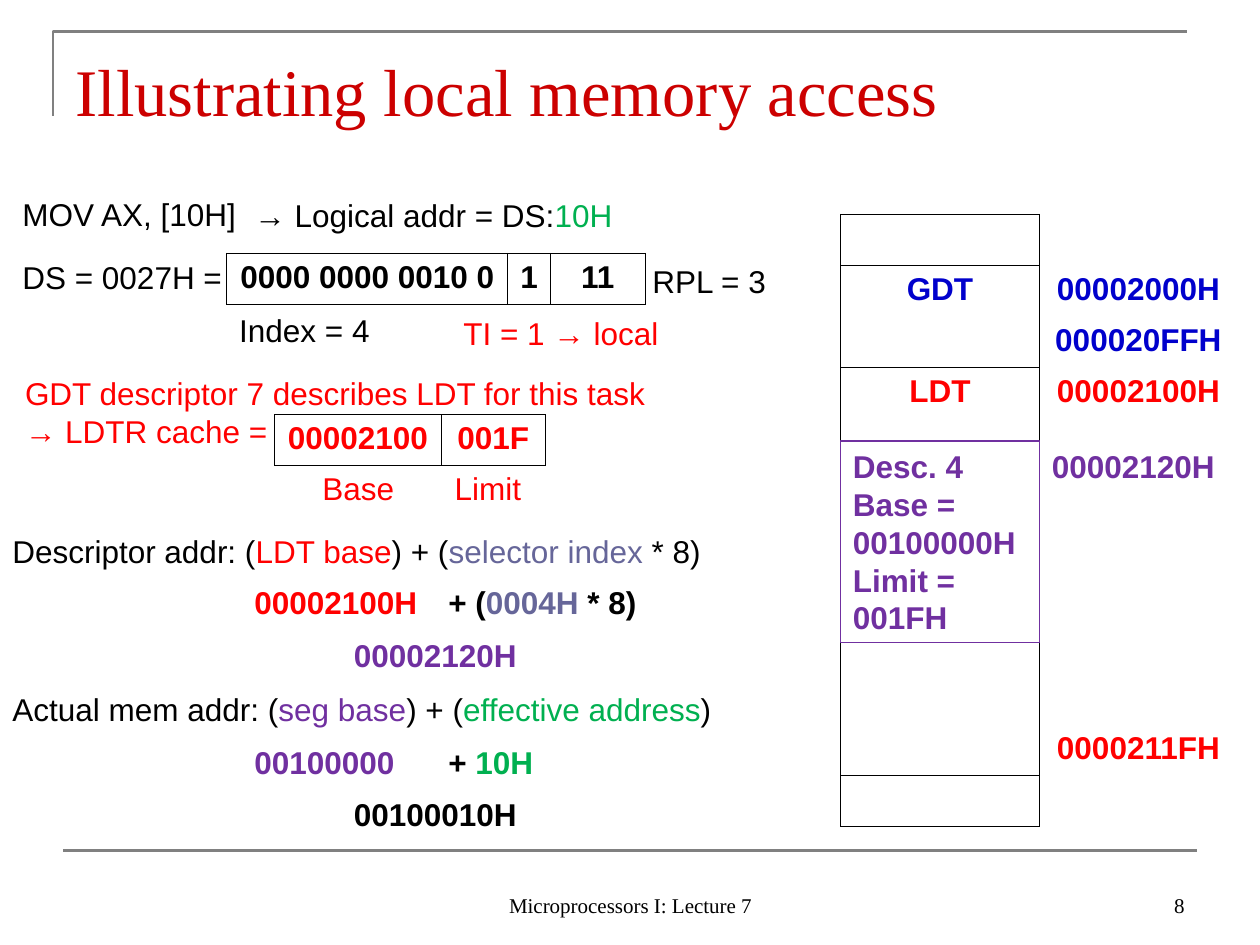
from lxml import etree
from pptx import Presentation
from pptx import util as u
from pptx.dml import color
from pptx.enum import shapes, text
from pptx.oxml import ns

Inches = u.Inches
hex_colour = color.RGBColor.from_string
BLACK, GREY, RED, GREEN = "000000", "808080", "FF0000", "00B050"
BLUE, PURPLE, SLATE, DARK_RED = "0000CC", "7030A0", "666699", "CC0000"
LEFT, CENTER, RIGHT = text.PP_ALIGN.LEFT, text.PP_ALIGN.CENTER, text.PP_ALIGN.RIGHT


def write_runs(paragraph, runs, bold=False, align=LEFT, size=18, font="Arial"):
    paragraph.alignment = align
    for words, colour in runs:
        run = paragraph.add_run()
        run.text = words
        run.font.name = font
        run.font.size = u.Pt(size)
        run.font.bold = bold
        run.font.color.rgb = hex_colour(colour)


def draw_borders(cell, sides):
    properties = cell._tc.get_or_add_tcPr()
    for side in "LRTB":
        line = etree.SubElement(properties, ns.qn("a:ln" + side), w=str(u.Pt(0.45)))
        if side in sides:
            fill = etree.SubElement(line, ns.qn("a:solidFill"))
            etree.SubElement(fill, ns.qn("a:srgbClr"), val=BLACK)
        else:
            etree.SubElement(line, ns.qn("a:noFill"))


presentation = Presentation()
presentation.slide_width = Inches(10)
presentation.slide_height = Inches(7.5)
slide = presentation.slides.add_slide(presentation.slide_layouts[5])

builder = slide.shapes.build_freeform(Inches(0.42), Inches(0.92))
builder.add_line_segments(
    [(Inches(0.42), Inches(0.25)), (Inches(9.42), Inches(0.25))], close=False)
corner = builder.convert_to_shape()
corner.shadow.inherit = False
corner.fill.background()
footer_rule = slide.shapes.add_connector(
    shapes.MSO_CONNECTOR.STRAIGHT, Inches(0.5), Inches(6.75), Inches(9.5), Inches(6.75))
etree.SubElement(footer_rule._element.spPr, ns.qn("a:effectLst"))
for rule in (corner, footer_rule):
    rule.line.color.rgb = hex_colour(GREY)
    rule.line.width = u.Pt(1.5)

title = slide.shapes.title
title.left, title.top = Inches(0.5), Inches(0.3)
title.width, title.height = Inches(9), Inches(0.78)
title.text_frame.vertical_anchor = text.MSO_ANCHOR.BOTTOM
title.text_frame.auto_size = text.MSO_AUTO_SIZE.NONE
write_runs(title.text_frame.paragraphs[0],
           [("Illustrating local memory access", DARK_RED)],
           size=38, font="Times New Roman")

footers = [
    (3.42, 3.17, CENTER, "Microprocessors I: Lecture 7"),
    (7.17, 2.33, RIGHT, "8"),
]
for left, width, align, words in footers:
    footer = slide.shapes.add_textbox(Inches(left), Inches(6.83), Inches(width), Inches(0.5))
    footer.text_frame.word_wrap = True
    footer.text_frame.vertical_anchor = text.MSO_ANCHOR.BOTTOM
    write_runs(footer.text_frame.paragraphs[0], [(words, BLACK)],
               align=align, size=12, font="Times New Roman")

blank = ("", BLACK, "LR")
no_label = ("", BLACK, "L")
selector_rows = [[("0000 0000 0010 0", BLACK, "LRTB"), ("1", BLACK, "LRTB"),
                  ("11", BLACK, "LRTB")]]
cache_rows = [[("00002100", RED, "LRTB"), ("001F", RED, "LRTB")]]
memory_rows = [
    [("", BLACK, "LRTB"), no_label],
    [("GDT", BLUE, "LRT"), ("00002000H", BLUE, "L")],
    [("", BLACK, "LRB"), ("000020FFH", BLUE, "L")],
    [("LDT", RED, "LRT"), ("00002100H", RED, "L")],
    *[[blank, no_label]] * 6,
    [("", BLACK, "LRB"), ("0000211FH", RED, "L")],
    [("", BLACK, "LRTB"), no_label],
]
tables = [
    (1.8, 2.01, [2.23, 0.34, 0.75], selector_rows),
    (2.18, 3.29, [1.32, 0.83], cache_rows),
    (6.67, 1.7, [1.58, 1.57], memory_rows),
]
row_height = Inches(4.86 / 12)
for left, top, widths, rows in tables:
    table = slide.shapes.add_table(
        len(rows), len(widths), Inches(left), Inches(top),
        Inches(sum(widths)), row_height * len(rows)).table
    table.first_row = table.horz_banding = False
    for column, width in zip(table.columns, widths):
        column.width = Inches(width)
    for row_index, row in enumerate(rows):
        table.rows[row_index].height = row_height
        for column_index, (words, colour, sides) in enumerate(row):
            cell = table.cell(row_index, column_index)
            draw_borders(cell, sides)
            cell.fill.background()
            if words:
                write_runs(cell.text_frame.paragraphs[0], [(words, colour)],
                           bold=True, align=CENTER)

labels = [
    (0.08, 1.5, 2, False, [[("MOV AX, [10H]", BLACK)]]),
    (1.92, 1.51, 3.08, False, [[("→ Logical addr = DS:", BLACK), ("10H", GREEN)]]),
    (0.08, 2, 1.83, False, [[("DS = 0027H =", BLACK)]]),
    (5.08, 2.03, 1.33, False, [[("RPL = 3", BLACK)]]),
    (3.58, 2.44, 2.25, False, [[("TI = 1 → local", RED)]]),
    (1.8, 2.42, 1.33, False, [[("Index = 4", BLACK)]]),
    (0.1, 2.92, 6.15, False, [[("GDT descriptor 7 describes LDT for this task", RED)],
                              [("→ LDTR cache =", RED)]]),
    (2.46, 3.67, 1, False, [[("Base", RED)]]),
    (3.51, 3.67, 0.84, False, [[("Limit", RED)]]),
    (0, 4.17, 6, False, [[("Descriptor addr: (", BLACK), ("LDT base", RED),
                          (") + (", BLACK), ("selector index ", SLATE),
                          ("* 8)", BLACK)]]),
    (1.92, 4.58, 1.54, True, [[("00002100H", RED)]]),
    (3.46, 4.58, 2.04, True, [[("+ (", BLACK), ("0004H", SLATE), (" * 8)", BLACK)]]),
    (2.71, 5, 1.54, True, [[("00002120H", PURPLE)]]),
    (8.25, 3.5, 1.54, True, [[("00002120H", PURPLE)]]),
    (0, 5.43, 6, False, [[("Actual mem addr: (", BLACK), ("seg base", PURPLE),
                          (") + (", BLACK), ("effective address", GREEN),
                          (")", BLACK)]]),
    (1.92, 5.85, 1.54, True, [[("00100000", PURPLE)]]),
    (3.46, 5.85, 2.04, True, [[("+ ", BLACK), ("10H", GREEN)]]),
    (2.71, 6.26, 1.54, True, [[("00100010H", BLACK)]]),
]
for left, top, width, bold, lines in labels:
    label = slide.shapes.add_textbox(
        Inches(left), Inches(top), Inches(width), Inches(0.1 + 0.3 * len(lines)))
    frame = label.text_frame
    frame.word_wrap = True
    for index, runs in enumerate(lines):
        paragraph = frame.add_paragraph() if index else frame.paragraphs[0]
        write_runs(paragraph, runs, bold)

descriptor = slide.shapes.add_shape(
    shapes.MSO_SHAPE.RECTANGLE, Inches(6.67), Inches(3.5), Inches(1.58), Inches(1.6))
descriptor.shadow.inherit = False
descriptor.fill.background()
descriptor.line.color.rgb = hex_colour(PURPLE)
descriptor.line.width = u.Pt(0.75)
frame = descriptor.text_frame
frame.word_wrap = True
frame.vertical_anchor = text.MSO_ANCHOR.TOP
for index, words in enumerate(["Desc. 4", "Base = 00100000H", "Limit =", "001FH"]):
    paragraph = frame.add_paragraph() if index else frame.paragraphs[0]
    write_runs(paragraph, [(words, PURPLE)], bold=True)

presentation.save("out.pptx")
